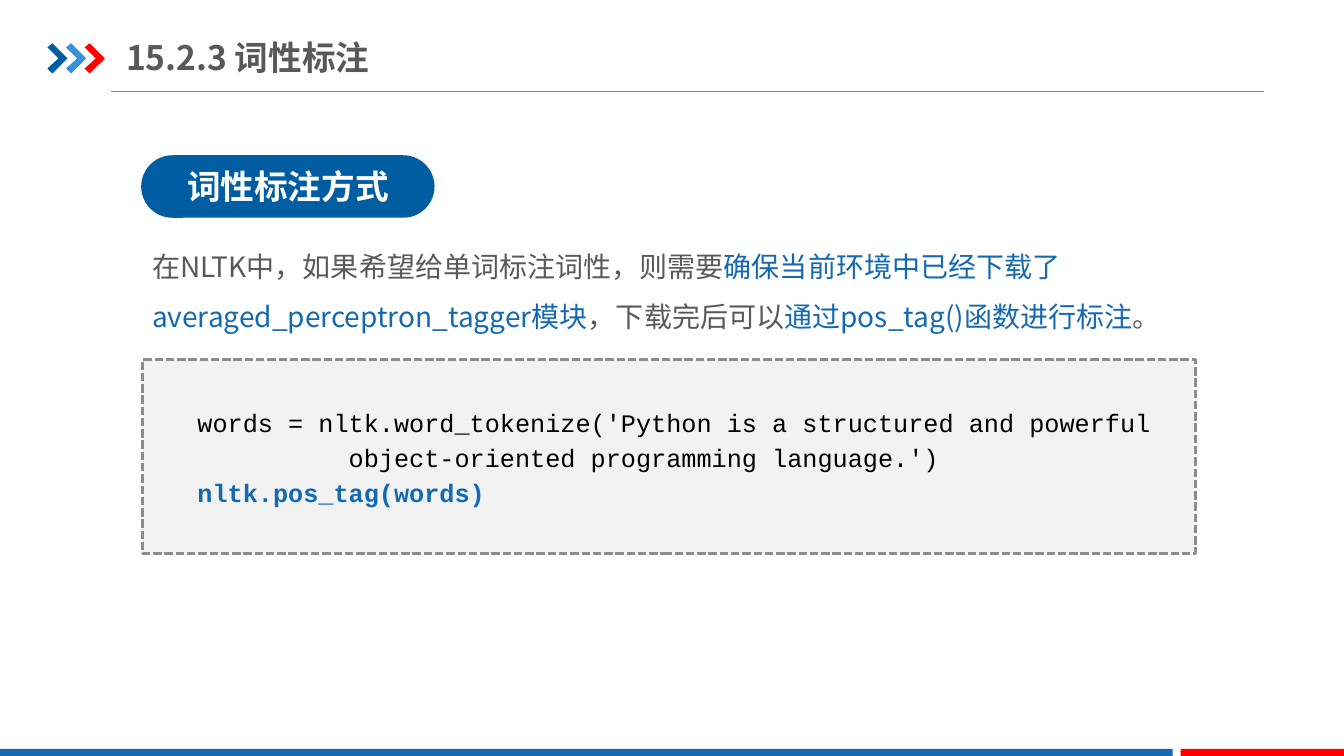
from lxml.etree import SubElement
from pptx import Presentation
from pptx.dml.color import RGBColor
from pptx.enum.dml import MSO_LINE
from pptx.enum.shapes import MSO_CONNECTOR, MSO_SHAPE
from pptx.enum.text import MSO_ANCHOR, MSO_AUTO_SIZE, PP_ALIGN
from pptx.oxml.ns import qn
from pptx.util import Inches, Pt

NAVY, BLUE, SKY, RED = "005DA2", "1369B2", "3992DB", "FF0000"
GRAY, WHITE, BLACK = "595959", "FFFFFF", "000000"


def rgb(value):
    return RGBColor.from_string(value)


def add_text(paragraph, text, size=20, font="Noto Sans CJK SC", color=GRAY, bold=False):
    run = paragraph.add_run()
    run.text = text
    run.font.size = Pt(size)
    run.font.name = font
    run.font.bold = bold
    run.font.color.rgb = rgb(color)
    SubElement(run.font._element, qn("a:ea")).set("typeface", font)


def set_indent(paragraph, margin, first_line):
    properties = paragraph._p.get_or_add_pPr()
    properties.set("marL", str(Inches(margin)))
    properties.set("indent", str(Inches(first_line)))


class LessonSlide:
    def __init__(self, presentation):
        self.shapes = presentation.slides.add_slide(presentation.slide_layouts[6]).shapes

    def paint(self, shape, fill):
        shape.shadow.inherit = False
        shape.fill.solid()
        shape.fill.fore_color.rgb = rgb(fill)
        shape.line.fill.background()
        return shape

    def block(self, left, top, width, height, fill, kind=MSO_SHAPE.RECTANGLE):
        box = map(Inches, (left, top, width, height))
        return self.paint(self.shapes.add_shape(kind, *box), fill)

    def chevron(self, left, top, fill):
        outline = [(0, 0.04), (0.05, 0), (0.2, 0.15), (0.05, 0.3), (0, 0.25), (0.11, 0.15)]
        start, *rest = [(Inches(left + x), Inches(top + y)) for x, y in outline]
        builder = self.shapes.build_freeform(*start)
        builder.add_line_segments(rest, close=True)
        self.paint(builder.convert_to_shape(), fill)

    def rule(self, left, right, y, color):
        line = self.shapes.add_connector(
            MSO_CONNECTOR.STRAIGHT, Inches(left), Inches(y), Inches(right), Inches(y))
        line.line.color.rgb = rgb(color)
        line.line.width = Pt(0.75)
        SubElement(line._element.spPr, qn("a:effectLst"))

    def text_frame(self, left, top, width, height):
        frame = self.shapes.add_textbox(*map(Inches, (left, top, width, height))).text_frame
        frame.word_wrap = True
        return frame


def main():
    presentation = Presentation()
    presentation.slide_width = Inches(13.33)
    presentation.slide_height = Inches(7.5)
    slide = LessonSlide(presentation)

    slide.rule(1.1, 12.54, 0.91, "808080")
    for position, color in enumerate((NAVY, SKY, RED)):
        slide.chevron(0.47 + 0.185 * position, 0.43, color)
    slide.block(0, 7.43, 11.63, 0.09, BLUE)
    slide.block(11.71, 7.43, 1.63, 0.09, RED)

    title = slide.text_frame(1.25, 0.29, 4.88, 0.55)
    title.margin_left = title.margin_right = 0
    title.vertical_anchor = MSO_ANCHOR.MIDDLE
    add_text(title.paragraphs[0], "15.2.3 词性标注", size=24, bold=True)

    heading = slide.block(1.4, 1.54, 2.91, 0.62, NAVY, MSO_SHAPE.ROUNDED_RECTANGLE)
    heading.adjustments[0] = 0.5
    heading.text_frame.vertical_anchor = MSO_ANCHOR.MIDDLE
    heading_line = heading.text_frame.paragraphs[0]
    heading_line.alignment = PP_ALIGN.CENTER
    add_text(heading_line, "词性标注方式", size=24, color=WHITE, bold=True)

    explanation = slide.text_frame(1.41, 2.26, 10.85, 1.11)
    explanation.auto_size = MSO_AUTO_SIZE.SHAPE_TO_FIT_TEXT
    sentence = explanation.paragraphs[0]
    sentence.line_spacing = 1.5
    for phrase, color in (
        ("在NLTK中，如果希望给单词标注词性，则需要", GRAY),
        ("确保当前环境中已经下载了averaged_perceptron_tagger模块", BLUE),
        ("，下载完后可以", GRAY),
        ("通过pos_tag()函数进行标注", BLUE),
        ("。", GRAY),
    ):
        add_text(sentence, phrase, color=color)

    code_panel = slide.block(1.41, 3.57, 10.45, 1.92, "F2F2F2")
    code_panel.line.color.rgb = rgb("8D8D8D")
    code_panel.line.width = Pt(2)
    code_panel.line.dash_style = MSO_LINE.SQUARE_DOT

    code = slide.text_frame(1.57, 3.95, 10.14, 1.15)
    code.auto_size = MSO_AUTO_SIZE.SHAPE_TO_FIT_TEXT
    for number, (statement, margin, color, bold) in enumerate((
        ("words = nltk.word_tokenize('Python is a structured and powerful", 0, BLACK, False),
        ("object-oriented programming language.')", 1.5, BLACK, False),
        ("nltk.pos_tag(words)", 0, BLUE, True),
    )):
        code_line = code.add_paragraph() if number else code.paragraphs[0]
        code_line.line_spacing = 1.15
        set_indent(code_line, margin, 0.29)
        add_text(code_line, statement, size=18, font="Courier New", color=color, bold=bold)

    presentation.save("out.pptx")


if __name__ == "__main__":
    main()
